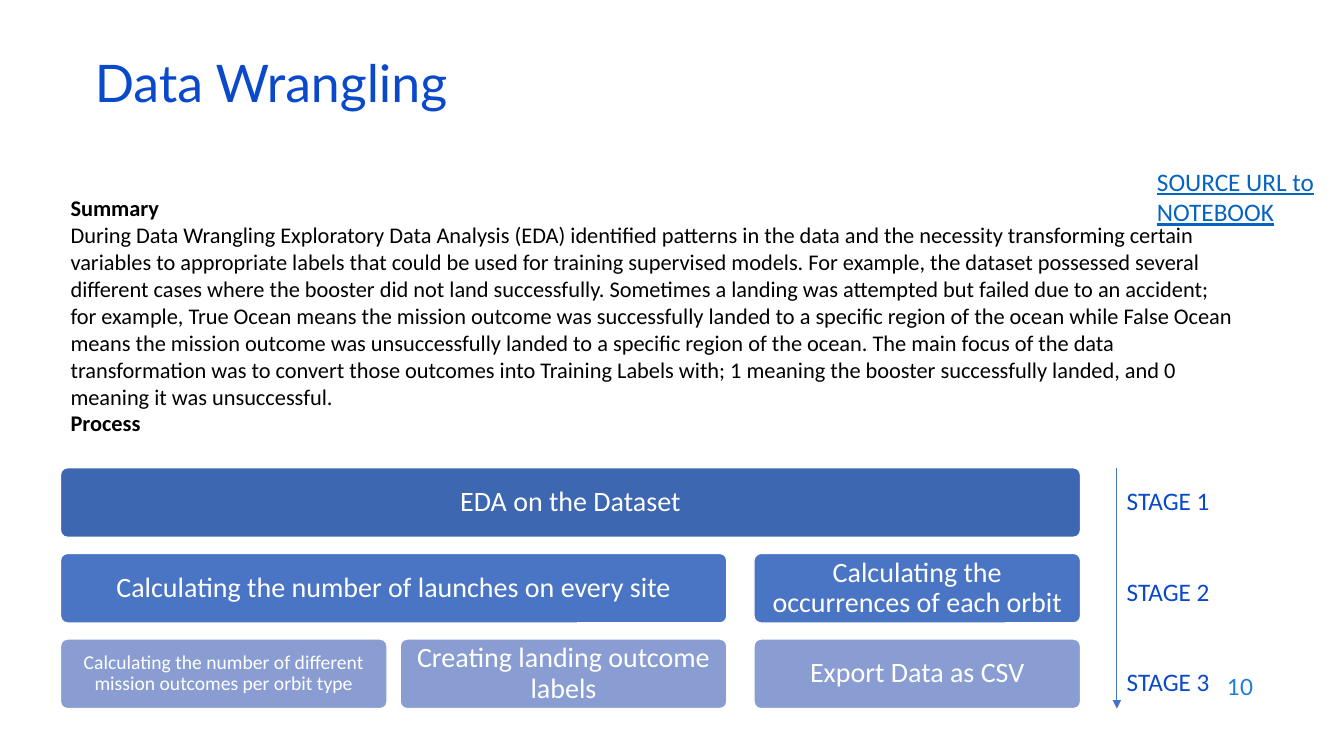
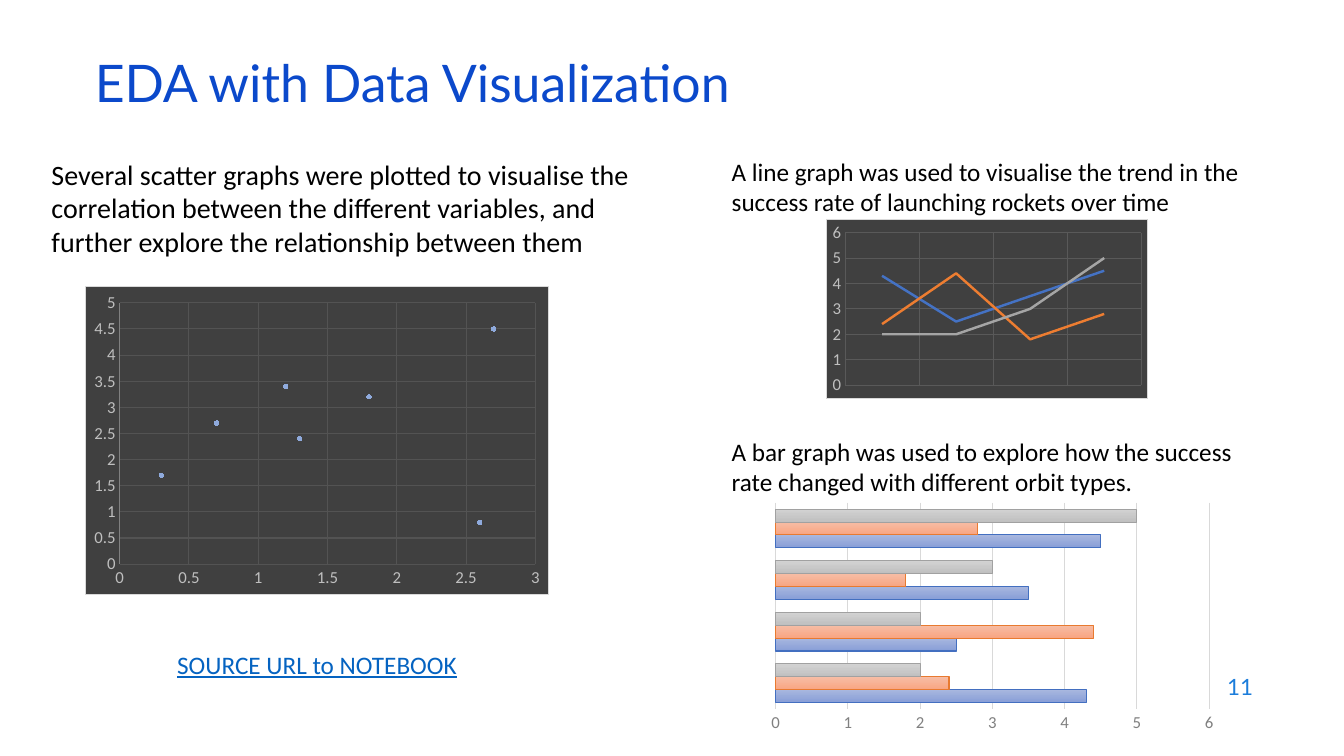
from dataclasses import dataclass

from lxml import etree
from pptx import Presentation
from pptx import util as u
from pptx.chart import data as cd
from pptx.dml.color import RGBColor
from pptx.enum import chart as ch, shapes, text
from pptx.oxml import parse_xml
from pptx.oxml.ns import nsdecls, qn


@dataclass(frozen=True)
class Theme:
    head_font: str = "Lato"
    body_font: str = "Calibri"
    title: str = "0B49CB"
    number: str = "1C7DDB"
    link: str = "0563C1"
    ink: str = "000000"
    paper: str = "FFFFFF"
    arrow: str = "4472C4"
    stages: tuple = ("3E67B2", "4A75C5", "899DD2")
    panel: str = "404040"
    pale: str = "D9D9D9"
    axis_grey: str = "808080"
    axis_light: str = "BFBFBF"
    title_size: int = 37
    large: int = 20
    medium: int = 18
    small: int = 16
    tiny: int = 14
    axis_size: int = 12


T = Theme()
WIDTH, HEIGHT = u.Inches(13.333), u.Inches(7.5)

# Process grid, in percent of the slide
COLUMNS, COLUMN_WIDTH = (4.5, 29.78, 56.1), 24.3
ROW_TOP, ROW_PITCH, ROW_HEIGHT = 61.87, 11.33, 9.2

TRENDS = {"Series 1": (4.3, 2.5, 3.5, 4.5),
          "Series 2": (2.4, 4.4, 1.8, 2.8),
          "Series 3": (2, 2, 3, 5)}
POINTS = ((0.7, 2.7), (1.8, 3.2), (2.6, 0.8), (1.2, 3.4),
          (1.3, 2.4), (0.3, 1.7), (2.7, 4.5))
LINE_COLOURS = ("4472C4", "ED7D31", "A5A5A5")
BAR_COLOURS = (("A8B7DF", "889ED7", "436FC0"),
               ("F7BDA5", "F8A582", "E87A30"),
               ("D2D2D2", "C0C0C0", "A1A1A1"))

SUMMARY = (
    "During Data Wrangling Exploratory Data Analysis (EDA) identified patterns in the data "
    "and the necessity transforming certain variables to appropriate labels that could be "
    "used for training supervised models. For example, the dataset possessed several "
    "different cases where the booster did not land successfully. Sometimes a landing was "
    "attempted but failed due to an accident; for example, True Ocean means the mission "
    "outcome was successfully landed to a specific region of the ocean while False Ocean "
    "means the mission outcome was unsuccessfully landed to a specific region of the ocean. "
    "The main focus of the data transformation was to convert those outcomes into Training "
    "Labels with; 1 meaning the booster successfully landed, and 0 meaning it was "
    "unsuccessful.")
NOTEBOOK_LINK = "SOURCE URL to NOTEBOOK"


def rgb(colour):
    return RGBColor.from_string(colour)


def across(share):
    return u.Emu(round(WIDTH * share / 100))


def down(share):
    return u.Emu(round(HEIGHT * share / 100))


def area(left, top, width, height):
    return across(left), down(top), across(width), down(height)


# Text
def write(frame, lines, size, colour=T.ink, font=T.body_font, align=text.PP_ALIGN.LEFT,
          anchor=text.MSO_ANCHOR.TOP, spacing=1.0, gap=0, bold=(), underline=None):
    frame.word_wrap = True
    frame.auto_size = text.MSO_AUTO_SIZE.NONE
    frame.vertical_anchor = anchor
    frame.text = "\n".join(lines)
    for i, paragraph in enumerate(frame.paragraphs):
        paragraph.alignment = align
        paragraph.line_spacing = spacing
        paragraph.space_before = u.Pt(gap if i else 0)
        paragraph.space_after = u.Pt(0)
        for run in paragraph.runs:
            run.font.name, run.font.size = font, u.Pt(size)
            run.font.color.rgb = rgb(colour)
            run.font.bold, run.font.underline = i in bold, underline


def add_text(slide, place, lines, size, **style):
    write(slide.shapes.add_textbox(*area(*place)).text_frame, lines, size, **style)


def add_link(slide, place):
    add_text(slide, place, [NOTEBOOK_LINK], T.medium, colour=T.link, underline=True)


def put(placeholder, place):
    (placeholder.left, placeholder.top,
     placeholder.width, placeholder.height) = area(*place)
    return placeholder.text_frame


def new_slide(deck, title, number, body_place, body_lines, size, **style):
    slide = deck.slides.add_slide(deck.slide_layouts[1])
    write(put(slide.shapes.title, (6.3, 7.87, 86.25, 8)), [title], T.title_size,
          colour=T.title, font=T.head_font, anchor=text.MSO_ANCHOR.MIDDLE, spacing=0.7)
    body = put(slide.placeholders[1], body_place)
    write(body, body_lines, size, **style)
    for paragraph in body.paragraphs:
        props = paragraph._p.get_or_add_pPr()
        props.set("marL", "0")
        props.set("indent", "0")
        etree.SubElement(props, qn("a:buNone"))
    add_text(slide, (71.48, 87.87, 22.5, 5.87), [str(number)], T.small, colour=T.number,
             font=T.head_font, align=text.PP_ALIGN.RIGHT, anchor=text.MSO_ANCHOR.MIDDLE)
    return slide


# Process diagram
def add_step(slide, row, first, last, label, size=T.large):
    width = COLUMNS[last] + COLUMN_WIDTH - COLUMNS[first]
    step = slide.shapes.add_shape(
        shapes.MSO_SHAPE.ROUNDED_RECTANGLE,
        *area(COLUMNS[first], ROW_TOP + row * ROW_PITCH, width, ROW_HEIGHT))
    step.adjustments[0] = 0.1
    step.shadow.inherit = False
    step.fill.solid()
    step.fill.fore_color.rgb = rgb(T.stages[row])
    step.line.color.rgb = rgb(T.paper)
    step.line.width = u.Pt(1)
    frame = step.text_frame
    frame.margin_left = frame.margin_right = u.Inches(0.1)
    frame.margin_top = frame.margin_bottom = u.Inches(0.08)
    write(frame, [label], size, colour=T.paper, align=text.PP_ALIGN.CENTER,
          anchor=text.MSO_ANCHOR.MIDDLE, spacing=0.9)


def add_stage_arrow(slide, left):
    bottom = ROW_TOP + 2 * ROW_PITCH + ROW_HEIGHT
    arrow = slide.shapes.add_connector(shapes.MSO_CONNECTOR.STRAIGHT, across(left),
                                       down(ROW_TOP), across(left), down(bottom))
    arrow.line.color.rgb = rgb(T.arrow)
    arrow.line.width = u.Pt(0.5)
    etree.SubElement(arrow.line._get_or_add_ln(), qn("a:tailEnd"), type="triangle")
    etree.SubElement(arrow._element.spPr, qn("a:effectLst"))


# Charts
def add_chart(slide, place, kind, chart_data):
    chart = slide.shapes.add_chart(kind, *area(*place), chart_data).chart
    chart.has_legend = chart.has_title = False
    chart.font.name, chart.font.size = T.body_font, u.Pt(10)
    chart.font.color.rgb = rgb(T.ink)
    return chart


def fill_panel(chart):
    chart.element.find(qn("c:chart")).addnext(parse_xml(
        f'<c:spPr {nsdecls("c", "a")}>'
        f'<a:solidFill><a:srgbClr val="{T.panel}"/></a:solidFill>'
        f'<a:ln w="9525"><a:solidFill><a:srgbClr val="{T.pale}"/></a:solidFill></a:ln>'
        '</c:spPr>'))


def style_grid(axis, colour):
    axis.has_major_gridlines = True
    line = axis.major_gridlines.format.line
    line.color.rgb, line.width = rgb(colour), u.Pt(0.75)


def style_axis(axis, top, step, colour, grid, line=None):
    axis.minimum_scale, axis.maximum_scale, axis.major_unit = 0, top, step
    axis.major_tick_mark = axis.minor_tick_mark = ch.XL_TICK_MARK.NONE
    labels = axis.tick_labels
    labels.number_format, labels.number_format_is_linked = "General", False
    labels.font.name, labels.font.size = T.body_font, u.Pt(T.axis_size)
    labels.font.color.rgb = rgb(colour)
    style_grid(axis, grid)
    if line:
        axis.format.line.color.rgb, axis.format.line.width = rgb(line), u.Pt(0.75)
    else:
        axis.format.line.fill.background()


def trend_data():
    trends = cd.CategoryChartData()
    trends.categories = ["1", "2", "3", "4"]
    for name, values in TRENDS.items():
        trends.add_series(name, values)
    return trends


def add_bar_chart(slide, place):
    chart = add_chart(slide, place, ch.XL_CHART_TYPE.BAR_CLUSTERED, trend_data())
    chart.category_axis.visible = False
    style_axis(chart.value_axis, 6, 1, T.axis_grey, T.pale)
    plot = chart.plots[0]
    plot.gap_width, plot.vary_by_categories = 100, False
    for series, (light, dark, edge) in zip(plot.series, BAR_COLOURS):
        fill = series.format.fill
        fill.gradient()
        fill.gradient_angle = 270
        for stop, colour in zip(fill.gradient_stops, (light, dark)):
            stop.color.rgb = rgb(colour)
        series.format.line.color.rgb = rgb(edge)
        series.format.line.width = u.Pt(0.75)


def add_scatter_chart(slide, place):
    points = cd.XyChartData()
    cloud = points.add_series("Series 1")
    for x, y in POINTS:
        cloud.add_data_point(x, y)
    chart = add_chart(slide, place, ch.XL_CHART_TYPE.XY_SCATTER, points)
    fill_panel(chart)
    style_axis(chart.category_axis, 3, 0.5, T.axis_light, "535353")
    style_axis(chart.value_axis, 5, 0.5, T.axis_light, "535353", line=T.axis_grey)
    chart.plots[0].vary_by_categories = False
    series = chart.plots[0].series[0]
    series.format.line.fill.background()
    marker = series.marker
    marker.style, marker.size = ch.XL_MARKER_STYLE.CIRCLE, 3
    marker.format.fill.solid()
    marker.format.fill.fore_color.rgb = rgb("8FAADC")
    marker.format.line.fill.background()


def add_line_chart(slide, place):
    chart = add_chart(slide, place, ch.XL_CHART_TYPE.LINE, trend_data())
    fill_panel(chart)
    chart.category_axis.visible = False
    style_grid(chart.category_axis, "595959")
    style_axis(chart.value_axis, 6, 1, T.axis_light, "595959")
    chart.plots[0].vary_by_categories = False
    for series, colour in zip(chart.plots[0].series, LINE_COLOURS):
        series.smooth = False
        series.marker.style = ch.XL_MARKER_STYLE.NONE
        series.format.line.color.rgb = rgb(colour)
        series.format.line.width = u.Pt(1.75)


# Slides
def wrangling_slide(deck):
    slide = new_slide(deck, "Data Wrangling", 10, (4.5, 25.07, 88.05, 32),
                      ["Summary", SUMMARY, "Process"], T.small, bold=(0, 2))
    add_step(slide, 0, 0, 2, "EDA on the Dataset")
    add_step(slide, 1, 0, 1, "Calculating the number of launches on every site")
    add_step(slide, 1, 2, 2, "Calculating the occurrences of each orbit")
    add_step(slide, 2, 0, 0, "Calculating the number of different mission outcomes "
                             "per orbit type", T.tiny)
    add_step(slide, 2, 1, 1, "Creating landing outcome labels")
    add_step(slide, 2, 2, 2, "Export Data as CSV")
    add_stage_arrow(slide, 83.1)
    add_text(slide, (83.1, 63.6, 12.07, 29.6), [f"STAGE {n}" for n in (1, 2, 3)],
             T.medium, colour=T.title, gap=43)
    add_link(slide, (85.35, 21.33, 14.6, 9.47))


def visualization_slide(deck):
    slide = new_slide(deck, "EDA with Data Visualization", 11, (3.08, 20.13, 46.2, 16),
                      ["Several scatter graphs were plotted to visualise the correlation "
                       "between the different variables, and further explore the "
                       "relationship between them"], T.large)
    add_text(slide, (53.7, 20, 40.28, 9),
             ["A line graph was used to visualise the trend in the success rate of "
              "launching rockets over time"], T.medium)
    add_text(slide, (53.7, 57.07, 40.28, 9),
             ["A bar graph was used to explore how the success rate changed with "
              "different orbit types."], T.medium)
    add_bar_chart(slide, (56.7, 65.87, 34.28, 31.73))
    add_scatter_chart(slide, (6.3, 37.87, 34.58, 40.8))
    add_line_chart(slide, (61.43, 28.93, 24, 23.87))
    add_link(slide, (12.45, 85.2, 23.18, 5.33))


def main():
    deck = Presentation()
    deck.slide_width, deck.slide_height = WIDTH, HEIGHT
    wrangling_slide(deck)
    visualization_slide(deck)
    deck.save("out.pptx")


if __name__ == "__main__":
    main()
